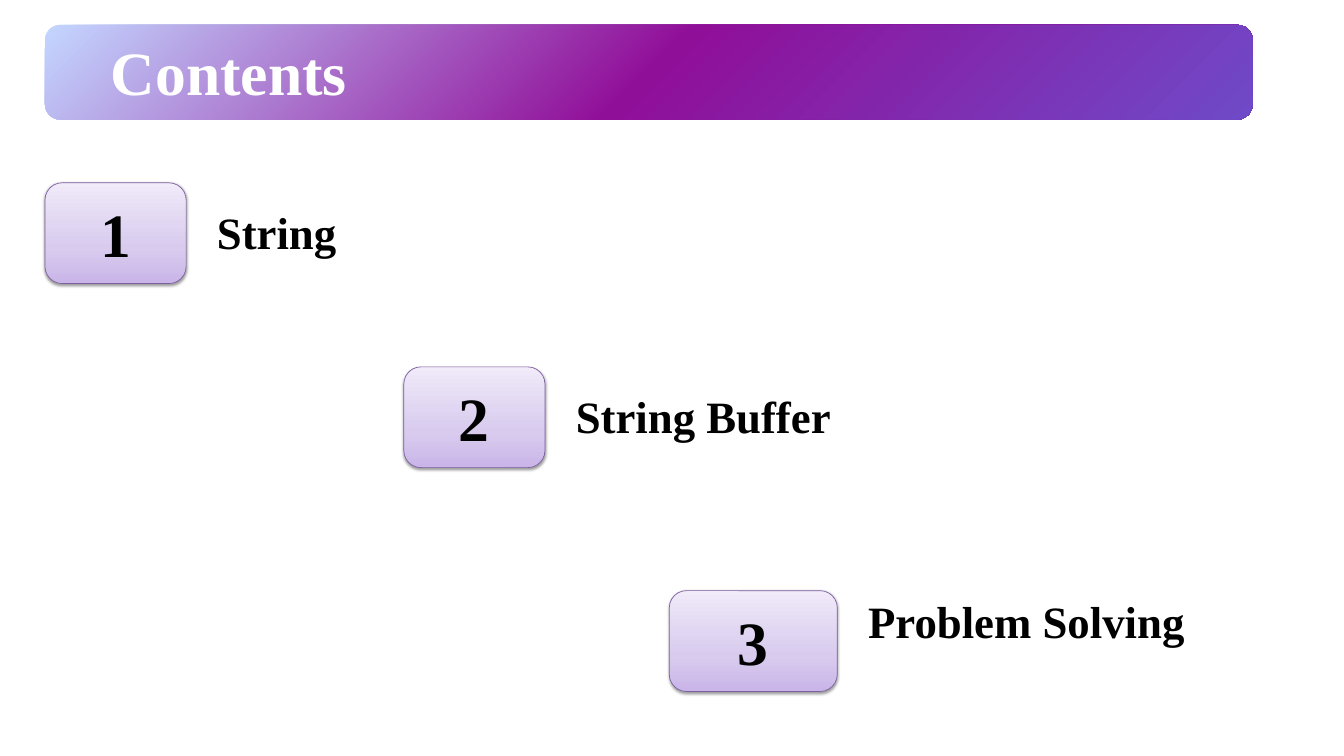
from lxml import etree
from pptx import Presentation
from pptx import util as u
from pptx.dml.color import RGBColor
from pptx.enum import shapes, text
from pptx.oxml import ns

WHITE = RGBColor(0xFF, 0xFF, 0xFF)
BLACK = RGBColor(0x00, 0x00, 0x00)
OUTLINE = RGBColor(0x7D, 0x60, 0xA0)
BANNER_STOPS = [(0, RGBColor(0xC4, 0xD6, 0xFF)),
                (50, RGBColor(0x90, 0x0F, 0x99)),
                (100, RGBColor(0x6F, 0x4A, 0xC8))]
BADGE_STOPS = [(0, RGBColor(0xC9, 0xB5, 0xE8)),
               (35, RGBColor(0xD8, 0xCB, 0xEE)),
               (100, RGBColor(0xF0, 0xEA, 0xF9))]

prs = Presentation()
prs.slide_width, prs.slide_height = u.Inches(20), u.Inches(11.25)
slide = prs.slides.add_slide(prs.slide_layouts[6])

# Grid of 100 columns by 100 rows
COL, ROW = prs.slide_width / 100, prs.slide_height / 100


def rounded_panel(left, top, width, height, radius, stops, angle):
    """Rounded rectangle with a gradient; angle runs clockwise in degrees."""
    panel = slide.shapes.add_shape(
        shapes.MSO_SHAPE.ROUNDED_RECTANGLE, int(left * COL), int(top * ROW),
        int(width * COL), int(height * ROW))
    panel.adjustments[0] = radius
    panel.shadow.inherit = False
    panel.fill.gradient()
    panel.fill.gradient_angle = (360 - angle) % 360
    stop_list = panel._element.spPr.find(".//" + ns.qn("a:gsLst"))
    for old_stop in list(stop_list):
        stop_list.remove(old_stop)
    for position, colour in stops:
        stop = etree.SubElement(stop_list, ns.qn("a:gs"), pos=str(position * 1000))
        etree.SubElement(stop, ns.qn("a:srgbClr"), val=str(colour))
    return panel


def write(frame, words, size, colour):
    frame.word_wrap = True
    run = frame.paragraphs[0].add_run()
    run.text = words
    run.font.name = "Times New Roman"
    run.font.size = u.Pt(size)
    run.font.bold = True
    run.font.color.rgb = colour


# Title banner
MARGIN = 3.35
banner = rounded_panel(MARGIN, 3.29, 89.85, 12.53, 0.16, BANNER_STOPS, 45)
banner.line.fill.background()

heading = slide.shapes.add_textbox(
    int(8.25 * COL), int(4.53 * ROW), int(25.5 * COL), int(9.69 * ROW)).text_frame
heading.margin_left = heading.margin_right = 0
heading.margin_top = heading.margin_bottom = 0
write(heading, "Contents", 66, WHITE)
heading.auto_size = text.MSO_AUTO_SIZE.SHAPE_TO_FIT_TEXT
heading.paragraphs[0].line_spacing = u.Pt(78.4)

# Numbered topics: badge left, top and width; label drop, width and height
BADGE_HEIGHT, GAP = 13.33, 1.8
topics = [("String", MARGIN, 24.18, 10.5, 2.49, 24.15, 8.09),
          ("String Buffer", 30.05, 48.53, 10.5, 2.49, 24.15, 8.09),
          ("Problem Solving", 49.8, 78.13, 12.5, 0, 28.75, 15.29)]

for number, (topic, left, top, width, drop, label_width, label_height) in enumerate(topics, 1):
    badge = rounded_panel(left, top, width, BADGE_HEIGHT, 0.17, BADGE_STOPS, 270)
    badge.line.color.rgb = OUTLINE
    badge.line.width = u.Pt(0.75)
    effects = badge._element.spPr.find(ns.qn("a:effectLst"))
    shadow = etree.SubElement(
        effects, ns.qn("a:outerShdw"), blurRad=str(u.Pt(3.1)), dist=str(u.Pt(1.6)),
        dir="5400000", rotWithShape="0")
    shade = etree.SubElement(shadow, ns.qn("a:srgbClr"), val=str(BLACK))
    etree.SubElement(shade, ns.qn("a:alpha"), val="38000")
    badge.text_frame.vertical_anchor = text.MSO_ANCHOR.MIDDLE
    badge.text_frame.paragraphs[0].alignment = text.PP_ALIGN.CENTER
    write(badge.text_frame, str(number), 66, BLACK)

    label = slide.shapes.add_textbox(
        int((left + width + GAP) * COL), int((top + drop) * ROW),
        int(label_width * COL), int(label_height * ROW)).text_frame
    write(label, topic, 48, BLACK)
    label.auto_size = text.MSO_AUTO_SIZE.SHAPE_TO_FIT_TEXT

prs.save("out.pptx")
